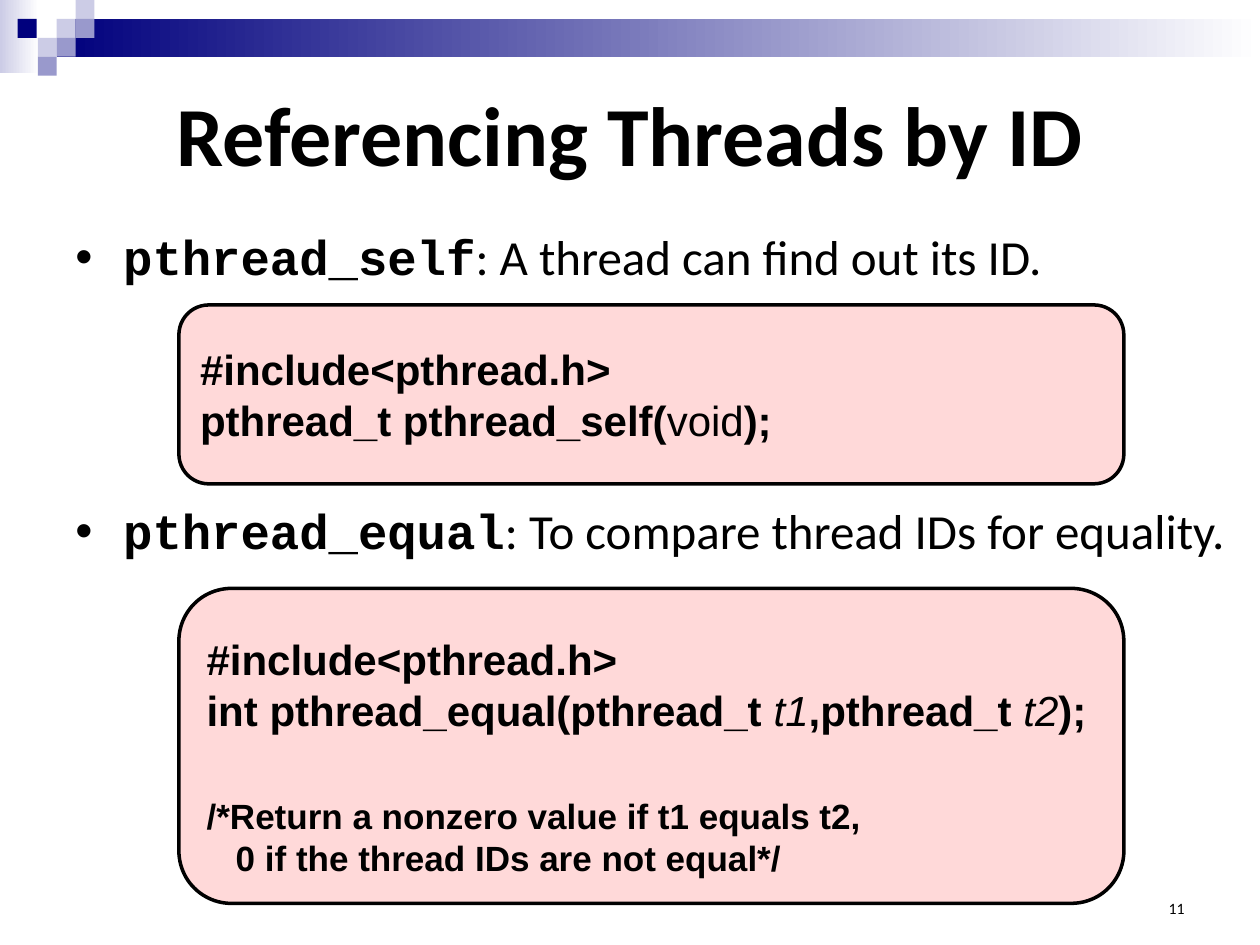
from dataclasses import dataclass
from typing import NamedTuple

from lxml import etree
from pptx import Presentation
from pptx import util as u
from pptx.dml.color import RGBColor
from pptx.enum import shapes, text
from pptx.oxml.ns import qn


@dataclass(frozen=True)
class Theme:
    ink: str = "000000"
    white: str = "FFFFFF"
    navy: str = "00007D"
    mid: str = "9999CC"
    pale: str = "CCCCE6"
    code_fill: str = "FF0000"
    code_alpha: int = 15
    body_font: str = "Calibri"
    mono_font: str = "Courier New"
    code_font: str = "Arial"
    title_size: int = 48
    body_size: int = 28
    code_size: int = 24
    comment_size: int = 20
    number_size: int = 9


T = Theme()


class Box(NamedTuple):
    left: float
    top: float
    width: float
    height: float


class Piece(NamedTuple):
    text: str
    bold: bool = True
    italic: bool = False
    font: str = T.code_font


class Line(NamedTuple):
    pieces: list[Piece]
    size: int = T.code_size
    before: float = 0
    align: text.PP_ALIGN = text.PP_ALIGN.LEFT
    bullet: bool = False


class CodeBox(NamedTuple):
    box: Box
    lines: list[Line]
    top_inset: float = 0.05


class Tile(NamedTuple):
    left: float
    top: float
    color: str


TILE = 0.15
GRADIENTS = [
    (Box(0, 0, 0.31, 0.58), T.pale),
    (Box(0.45, 0.15, 9.55, 0.3), T.navy),
]
TILES = [
    Tile(0.45, 0.15, T.pale),
    Tile(0.6, 0, T.pale),
    Tile(0.6, 0.15, T.mid),
    Tile(0.3, 0.3, T.pale),
    Tile(0.14, 0.15, T.navy),
    Tile(0.45, 0.3, T.mid),
    Tile(0.3, 0.45, T.mid),
]


def bullet_line(name: str, meaning: str, before: float = 0) -> Line:
    return Line([Piece(name, font=T.mono_font), Piece(meaning, False, font=T.body_font)],
                T.body_size, before, bullet=True)


BULLETS = [
    bullet_line("pthread_self", ": A thread can find out its ID."),
    bullet_line("pthread_equal", ": To compare thread IDs for equality.", 123),
]
INCLUDE = Line([Piece("#include<pthread.h>")])
CODE_BOXES = [
    CodeBox(Box(1.42, 2.42, 7.5, 1.42), [
        INCLUDE,
        Line([Piece("pthread_t pthread_self("), Piece("void", False), Piece(");")]),
    ]),
    CodeBox(Box(1.42, 4.67, 7.5, 2.5), [
        INCLUDE,
        Line([Piece("int pthread_equal(pthread_t "), Piece("t1", False, True),
              Piece(",pthread_t "), Piece("t2", False, True), Piece(");")]),
        Line([Piece("/*Return a nonzero value if t1 equals t2,")], T.comment_size, 34),
        Line([Piece("   0 if the thread IDs are not equal*/")], T.comment_size),
    ], 0.21),
]


def rgb(color: str) -> RGBColor:
    return RGBColor.from_string(color)


def add_shape(s, kind: shapes.MSO_SHAPE, box: Box):
    sp = s.shapes.add_shape(kind, *map(u.Inches, box))
    sp.shadow.inherit = False
    return sp


def add_gradient(s, box: Box, start: str) -> None:
    sp = add_shape(s, shapes.MSO_SHAPE.RECTANGLE, box)
    sp.line.fill.background()
    sp.fill.gradient()
    sp.fill.gradient_angle = 0
    for stop, color in zip(sp.fill.gradient_stops, (start, T.white)):
        stop.color.rgb = rgb(color)


def add_tile(s, tile: Tile) -> None:
    sp = add_shape(s, shapes.MSO_SHAPE.RECTANGLE, Box(tile.left, tile.top, TILE, TILE))
    sp.line.fill.background()
    sp.fill.solid()
    sp.fill.fore_color.rgb = rgb(tile.color)


def add_bullet(p) -> None:
    pPr = p._p.get_or_add_pPr()
    pPr.set("marL", str(u.Inches(0.38)))
    pPr.set("indent", str(u.Inches(-0.38)))
    etree.SubElement(pPr, qn("a:buFont")).set("typeface", "Arial")
    etree.SubElement(pPr, qn("a:buChar")).set("char", "•")


def write_lines(tf, lines: list[Line], anchor: text.MSO_ANCHOR) -> None:
    tf.word_wrap = True
    tf.vertical_anchor = anchor
    for i, line in enumerate(lines):
        p = tf.add_paragraph() if i else tf.paragraphs[0]
        p.alignment = line.align
        if line.before:
            p.space_before = u.Pt(line.before)
        if line.bullet:
            add_bullet(p)
        for piece in line.pieces:
            r = p.add_run()
            r.text = piece.text
            r.font.name = piece.font
            r.font.size = u.Pt(line.size)
            r.font.bold = piece.bold
            r.font.italic = piece.italic
            r.font.color.rgb = rgb(T.ink)


def add_text(s, box: Box, lines: list[Line], anchor: text.MSO_ANCHOR) -> None:
    sp = s.shapes.add_textbox(*map(u.Inches, box))
    write_lines(sp.text_frame, lines, anchor)


def add_code_box(s, code: CodeBox) -> None:
    sp = add_shape(s, shapes.MSO_SHAPE.ROUNDED_RECTANGLE, code.box)
    sp.fill.solid()
    sp.fill.fore_color.rgb = rgb(T.code_fill)
    color = sp.fill._xPr.find(qn("a:solidFill"))[0]
    etree.SubElement(color, qn("a:alpha")).set("val", str(T.code_alpha * 1000))
    sp.line.color.rgb = rgb(T.ink)
    sp.line.width = u.Pt(2)
    sp.text_frame.margin_top = u.Inches(code.top_inset)
    write_lines(sp.text_frame, code.lines, text.MSO_ANCHOR.MIDDLE)


def main() -> None:
    prs = Presentation()
    prs.slide_width, prs.slide_height = u.Inches(10), u.Inches(7.5)
    s = prs.slides.add_slide(prs.slide_layouts[6])
    for box, start in GRADIENTS:
        add_gradient(s, box, start)
    for tile in TILES:
        add_tile(s, tile)
    number = Line([Piece("11", False, font=T.body_font)], T.number_size,
                  align=text.PP_ALIGN.RIGHT)
    add_text(s, Box(7.17, 6.83, 2.33, 0.5), [number], text.MSO_ANCHOR.BOTTOM)
    title = Line([Piece("Referencing Threads by ID", font=T.body_font)], T.title_size,
                 align=text.PP_ALIGN.CENTER)
    add_text(s, Box(0.5, 0.43, 9, 1.25), [title], text.MSO_ANCHOR.MIDDLE)
    add_text(s, Box(0.5, 1.75, 9.5, 4.95), BULLETS, text.MSO_ANCHOR.TOP)
    for code in CODE_BOXES:
        add_code_box(s, code)
    prs.save("out.pptx")


if __name__ == "__main__":
    main()
